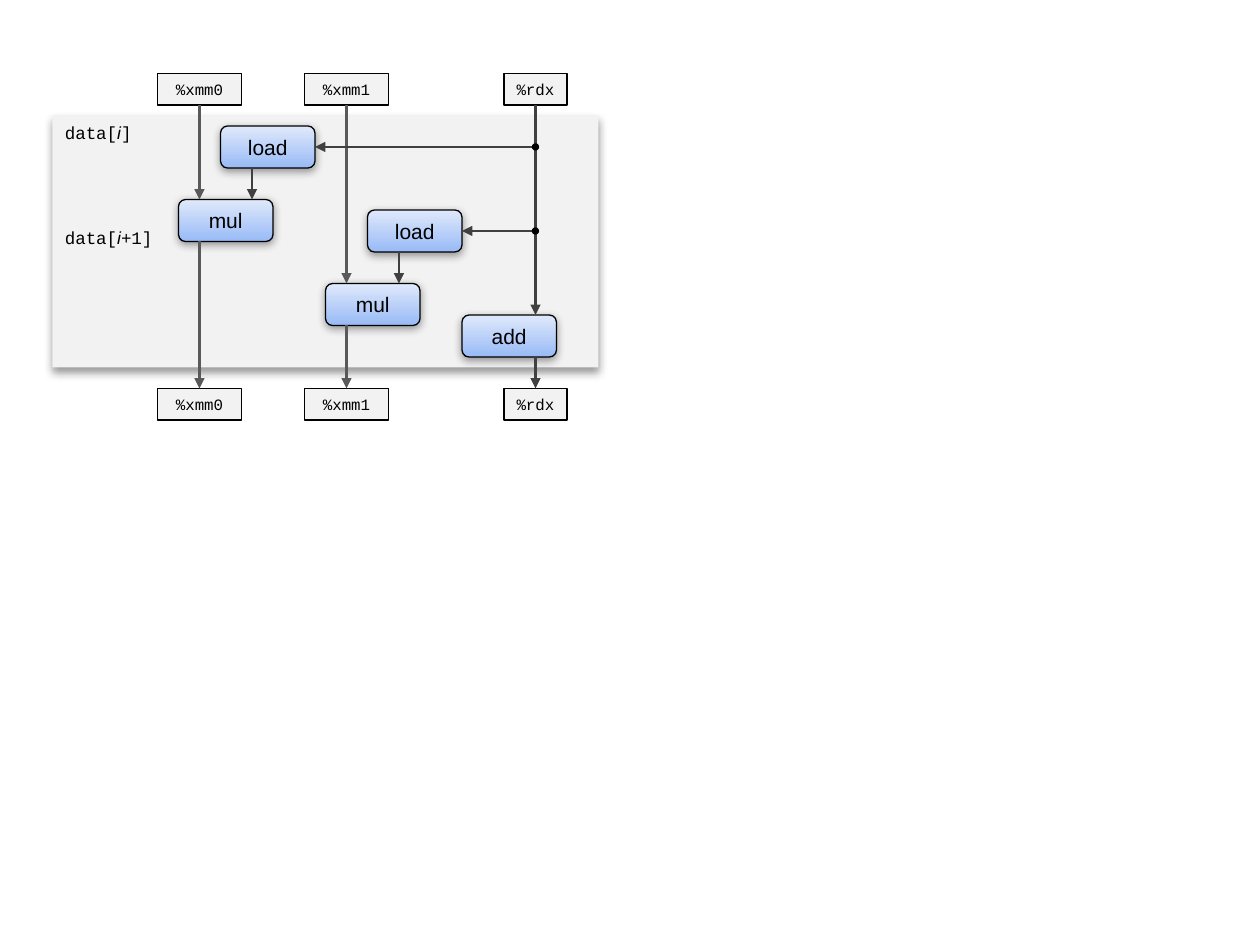
"""Build a data-flow slide of a loop with two independent multiply chains."""
from lxml.etree import SubElement
from pptx import Presentation
from pptx.dml.color import RGBColor
from pptx.enum.shapes import MSO_CONNECTOR, MSO_SHAPE
from pptx.enum.text import MSO_ANCHOR, PP_ALIGN
from pptx.oxml import parse_xml
from pptx.oxml.ns import nsdecls, qn
from pptx.util import Cm, Pt

GRID = Cm(2.54) / 12
color = RGBColor.from_string

presentation = Presentation()
presentation.slide_width, presentation.slide_height = Cm(25.4), Cm(19.05)
slide = presentation.slides.add_slide(presentation.slide_layouts[6])


def add_box(kind, left, top, width, height, line_width=0, shadow=None):
    bounds = [round(value * GRID) for value in (left, top, width, height)]
    shape = slide.shapes.add_shape(kind, *bounds)
    shape.shadow.inherit = False
    shape.fill.solid()
    shape.fill.fore_color.rgb = color("F2F2F2")
    if line_width:
        shape.line.color.rgb = color("000000")
        shape.line.width = Pt(line_width)
    else:
        shape.line.fill.background()
    if shadow:
        alpha, distance = shadow
        shape._element.spPr.find(qn("a:effectLst")).append(parse_xml(
            f'<a:outerShdw {nsdecls("a")} blurRad="{Pt(5)}" dist="{Pt(distance)}" '
            f'dir="5400000" rotWithShape="0"><a:srgbClr val="000000">'
            f'<a:alpha val="{alpha * 1000}"/></a:srgbClr></a:outerShdw>'))
    return shape


def add_label(shape, text, font_name, size):
    frame = shape.text_frame
    frame.text = text
    frame.word_wrap = False
    frame.vertical_anchor = MSO_ANCHOR.MIDDLE
    paragraph = frame.paragraphs[0]
    paragraph.alignment = PP_ALIGN.CENTER
    paragraph.font.name = font_name
    paragraph.font.size = Pt(size)
    paragraph.font.color.rgb = color("000000")


panel = add_box(MSO_SHAPE.RECTANGLE, 5, 11, 52, 24, shadow=(40, 3))
frame = panel.text_frame
frame.word_wrap = True
frame.vertical_anchor = MSO_ANCHOR.TOP
for index, ending in enumerate(["]", "+1]"]):
    paragraph = frame.add_paragraph() if index else frame.paragraphs[0]
    paragraph.alignment = PP_ALIGN.LEFT
    if index:
        paragraph.space_before = Pt(48)
    for text in ["data[", "i", ending]:
        run = paragraph.add_run()
        run.text = text
        run.font.size = Pt(10)
        run.font.color.rgb = color("000000")
        run.font.italic = text == "i"
        run.font.name = "Arial" if text == "i" else "Courier New"

for name, left, width in [("%xmm0", 15, 8), ("%xmm1", 29, 8), ("%rdx", 48, 6)]:
    for top in (7, 37):
        register = add_box(MSO_SHAPE.RECTANGLE, left, top, width, 3, 1)
        add_label(register, name, "Courier New", 9)

operations = [("load", 21, 12), ("mul", 17, 19), ("load", 35, 20),
              ("mul", 31, 27), ("add", 44, 30)]
for name, left, top in operations:
    operation = add_box(MSO_SHAPE.ROUNDED_RECTANGLE, left, top, 9, 4, 0.75, (38, 1.6))
    operation.fill.gradient()
    operation.fill.gradient_angle = 90
    for stop, shade in zip(operation.fill.gradient_stops, ["98BAF6", "E0E9FB"]):
        stop.color.rgb = color(shade)
    add_label(operation, name, "Arial", 12)

arrows = [
    (19, 10, 19, 19, "595959"), (19, 23, 19, 37, "595959"),
    (33, 10, 33, 27, "595959"), (33, 31, 33, 37, "595959"),
    (51, 10, 51, 30, "404040"), (51, 34, 51, 37, "404040"),
    (24, 16, 24, 19, "404040"), (38, 24, 38, 27, "404040"),
    (51, 14, 30, 14, "404040"), (51, 22, 44, 22, "404040"),
]
for *ends, shade in arrows:
    points = [round(value * GRID) for value in ends]
    arrow = slide.shapes.add_connector(MSO_CONNECTOR.STRAIGHT, *points)
    arrow.line.color.rgb = color(shade)
    arrow.line.width = Pt(1.5)
    SubElement(arrow.line._get_or_add_ln(), qn("a:tailEnd"), type="triangle")
    SubElement(arrow._element.spPr, qn("a:effectLst"))

dot_size = 0.7
for center in (14, 22):
    dot = add_box(MSO_SHAPE.OVAL, 51 - dot_size / 2, center - dot_size / 2,
                  dot_size, dot_size)
    dot.fill.fore_color.rgb = color("000000")

presentation.save("out.pptx")
